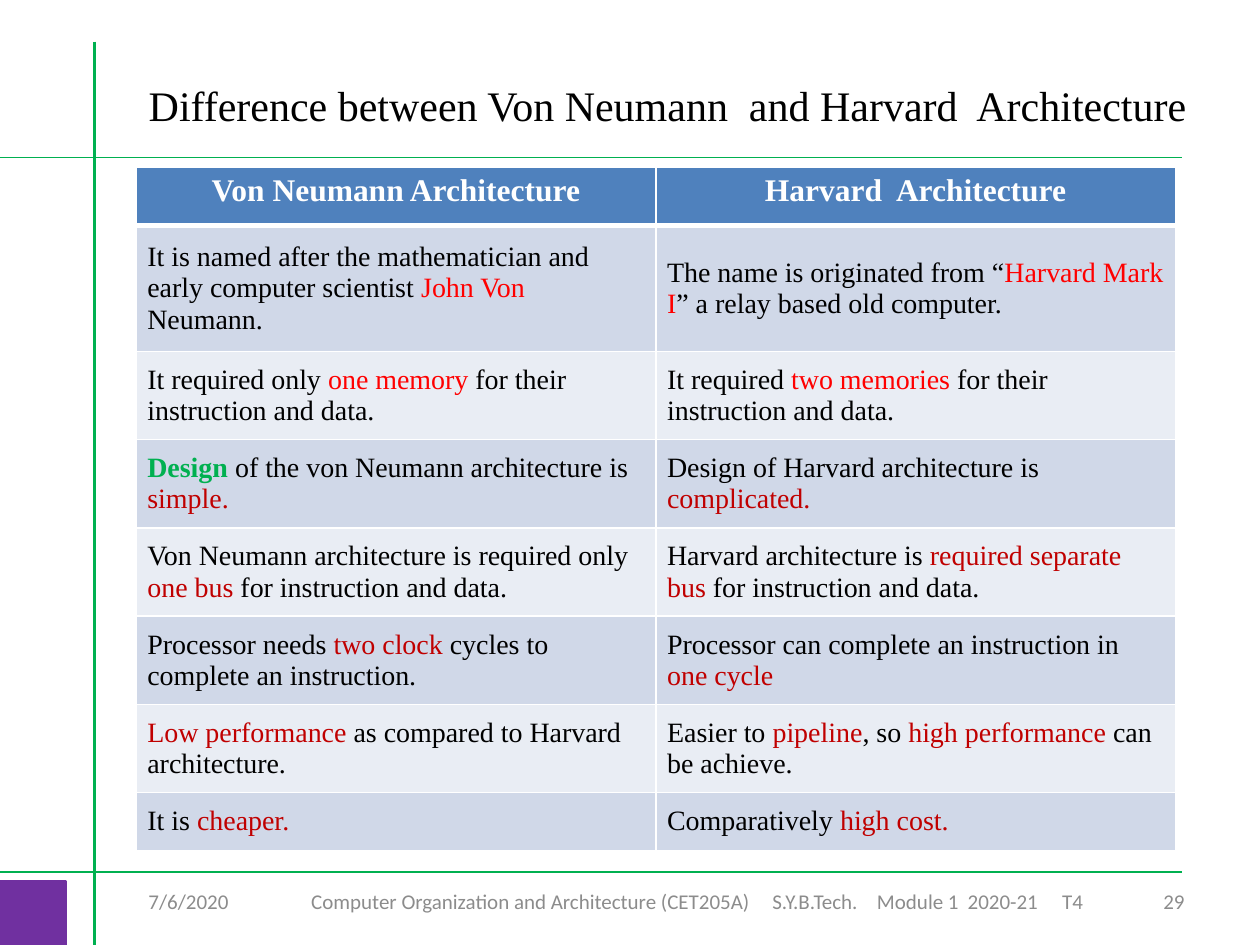
from lxml.etree import SubElement
from pptx import Presentation
from pptx.dml.color import RGBColor
from pptx.enum.shapes import MSO_CONNECTOR, MSO_SHAPE
from pptx.enum.text import MSO_ANCHOR as ANCHOR, MSO_AUTO_SIZE as AUTO, PP_ALIGN as ALIGN
from pptx.oxml.ns import qn
from pptx.util import Inches, Pt

BLACK, WHITE, GRAY = "000000", "FFFFFF", "8C8C8C"
RED, DARK_RED, GREEN, PURPLE = "FF0000", "C00000", "00B050", "7030A0"
HEADER_FILL, BANDS = "4F81BD", ("D0D8E8", "E9EDF4")
SERIF, SANS = "Times New Roman", "Calibri"

TITLE = "Difference between Von Neumann  and Harvard  Architecture"
DATE, NUMBER = "7/6/2020", "29"
FOOTER = ["Computer Organization and Architecture (CET205A)", "S.Y.B.Tech.",
          "Module 1", "2020-21", "T4"]
FOOTER_TABS = [3.66, 4.49, 5.21, 5.96]
HEADERS = ["Von Neumann Architecture", "Harvard  Architecture"]
ROWS = [
    (["It is named after the mathematician and early computer scientist ",
      ("John Von ", RED), "Neumann."],
     ["The name is originated from “", ("Harvard Mark I", RED),
      "” a relay based old computer."]),
    (["It required only ", ("one memory ", RED), "for their instruction and data."],
     ["It required ", ("two memories ", RED), "for their instruction and data."]),
    ([("Design", GREEN, True), " of the von Neumann architecture is ", ("simple.", DARK_RED)],
     ["Design of Harvard architecture is ", ("complicated.", DARK_RED)]),
    (["Von Neumann architecture is required only ", ("one bus ", DARK_RED),
      "for instruction and data."],
     ["Harvard architecture is ", ("required separate bus", DARK_RED),
      " for instruction and data."]),
    (["Processor needs ", ("two clock ", DARK_RED), "cycles to complete an instruction."],
     ["Processor can complete an instruction in ", ("one cycle", DARK_RED)]),
    ([("Low performance ", DARK_RED), "as compared to Harvard architecture."],
     ["Easier to ", ("pipeline", DARK_RED), ", so ", ("high performance ", DARK_RED),
      "can be achieve."]),
    (["It is ", ("cheaper.", DARK_RED)],
     ["Comparatively ", ("high cost.", DARK_RED)]),
]
ROW_HEIGHTS = [0.46, 1] + [0.7] * 5 + [0.46]
RULES = [((0, 1.25), (9.38, 1.25), 0.75),
         ((0, 6.92), (9.38, 6.92), 1.25),
         ((0.75, 0.33), (0.75, 7.5), 1.25)]


def rgb(value):
    return RGBColor.from_string(value)


def write(p, text, font=SERIF, size=16, color=BLACK, bold=False, align=ALIGN.LEFT):
    p.alignment = align
    r = p.add_run()
    r.text = text
    r.font.name, r.font.size, r.font.bold = font, Pt(size), bold
    r.font.color.rgb = rgb(color)


def add_rule(slide, start, end, width):
    line = slide.shapes.add_connector(MSO_CONNECTOR.STRAIGHT, *map(Inches, start + end))
    line.line.color.rgb = rgb(GREEN)
    line.line.width = Pt(width)
    SubElement(line._element.spPr, qn("a:effectLst"))


def add_footer(slide, left, width, text, align=ALIGN.LEFT, inset=0.1, tabs=()):
    box = slide.shapes.add_textbox(Inches(left), Inches(6.95), Inches(width), Inches(0.4))
    tf = box.text_frame
    tf.word_wrap = True
    tf.vertical_anchor = ANCHOR.MIDDLE
    tf.margin_left = Inches(inset)
    p = tf.paragraphs[0]
    if tabs:
        stops = SubElement(p._p.get_or_add_pPr(), qn("a:tabLst"))
        for pos in tabs:
            SubElement(stops, qn("a:tab"), pos=str(Inches(pos)), algn="l")
    write(p, text, font=SANS, size=12, color=GRAY, align=align)


def style_cell(cell, fill, top=1, bottom=1):
    tc_pr = cell._tc.get_or_add_tcPr()
    for side, width in (("L", 1), ("R", 1), ("T", top), ("B", bottom)):
        ln = SubElement(tc_pr, qn(f"a:ln{side}"), w=str(Pt(width)))
        SubElement(SubElement(ln, qn("a:solidFill")), qn("a:srgbClr"), val=WHITE)
    cell.fill.solid()
    cell.fill.fore_color.rgb = rgb(fill)


def add_comparison(slide):
    table = slide.shapes.add_table(len(ROW_HEIGHTS), 2, Inches(1.08), Inches(1.33),
                                   Inches(8.25), Inches(sum(ROW_HEIGHTS))).table
    for row, height in zip(table.rows, ROW_HEIGHTS):
        row.height = Inches(height)
    for col, header in enumerate(HEADERS):
        cell = table.cell(0, col)
        style_cell(cell, HEADER_FILL, bottom=3)
        write(cell.text_frame.paragraphs[0], header, size=18, color=WHITE, bold=True,
              align=ALIGN.CENTER)
    for i, row in enumerate(ROWS, 1):
        for col, parts in enumerate(row):
            cell = table.cell(i, col)
            style_cell(cell, BANDS[(i - 1) % 2], top=3 if i == 1 else 1)
            cell.vertical_anchor = ANCHOR.MIDDLE
            cell.margin_left = cell.margin_right = Inches(0.09)
            cell.margin_top = cell.margin_bottom = Inches(0.04)
            for part in parts:
                text, color, bold = ((part, BLACK, False) if isinstance(part, str)
                                     else (*part, False)[:3])
                write(cell.text_frame.paragraphs[0], text, color=color, bold=bold)


def main():
    prs = Presentation()
    prs.slide_width, prs.slide_height = Inches(10), Inches(7.5)
    slide = prs.slides.add_slide(prs.slide_layouts[5])

    title = slide.shapes.title
    title.left, title.top, title.width, title.height = map(Inches, (1.08, 0.58, 8.51, 0.5))
    tf = title.text_frame
    tf.word_wrap = False
    tf.auto_size = AUTO.SHAPE_TO_FIT_TEXT
    tf.vertical_anchor = ANCHOR.TOP
    write(tf.paragraphs[0], TITLE, size=24)

    for rule in RULES:
        add_rule(slide, *rule)
    block = slide.shapes.add_shape(MSO_SHAPE.RECTANGLE, 0, Inches(7), Inches(0.52), Inches(0.5))
    block.shadow.inherit = False
    block.fill.solid()
    block.fill.fore_color.rgb = block.line.color.rgb = rgb(PURPLE)
    block.line.width = Pt(2)

    add_footer(slide, 1.08, 1.75, DATE)
    add_footer(slide, 2.17, 6.75, "\t".join(FOOTER), inset=0.3, tabs=FOOTER_TABS)
    add_comparison(slide)
    add_footer(slide, 7.17, 2.33, NUMBER, align=ALIGN.RIGHT)
    prs.save("out.pptx")


if __name__ == "__main__":
    main()
